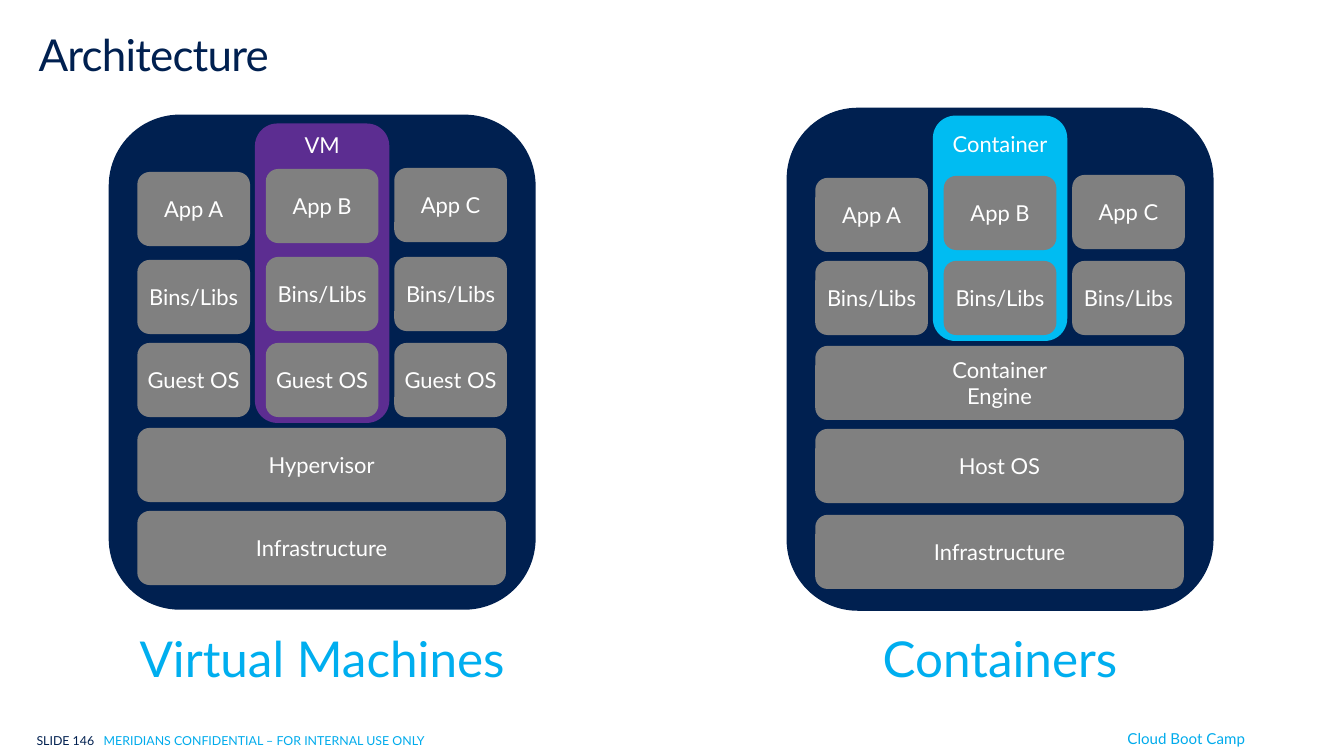
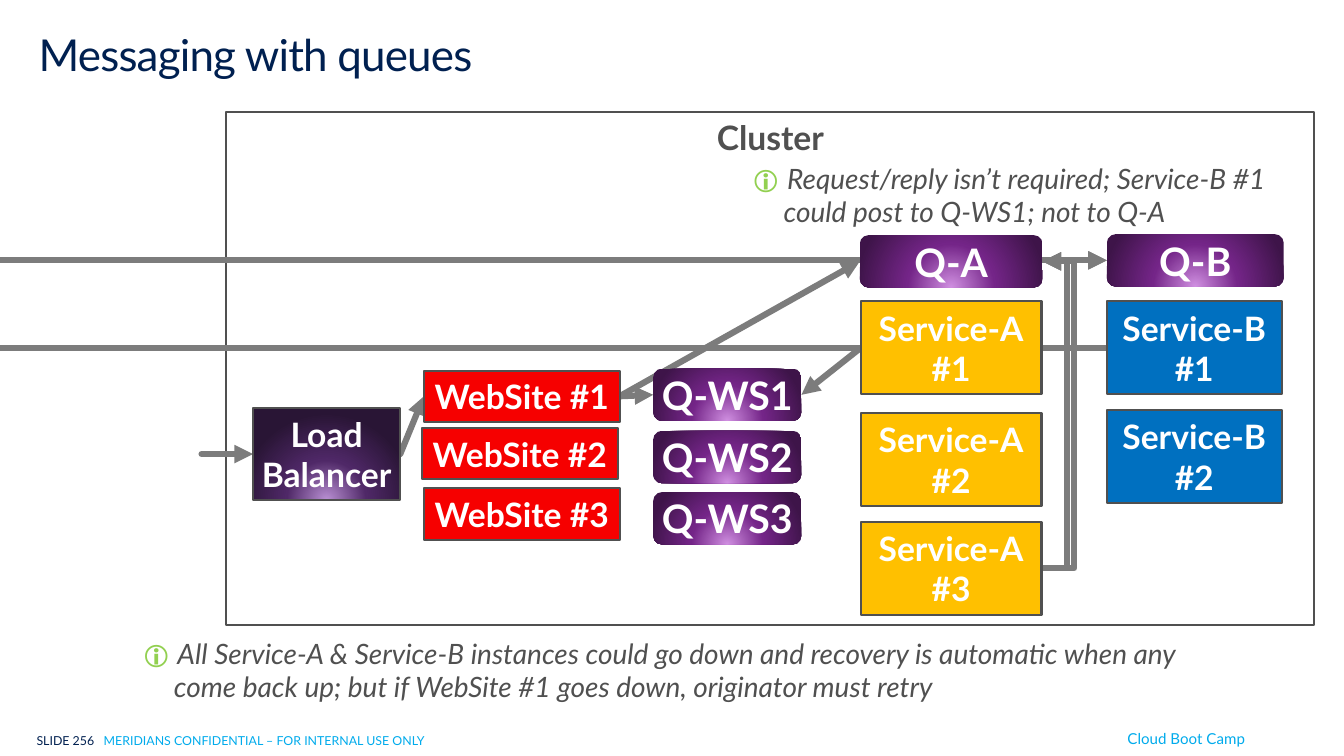
import dataclasses
import typing

import pptx
import pptx.dml.color
import pptx.enum.shapes
import pptx.enum.text
import pptx.oxml
import pptx.oxml.ns
import pptx.util

Inches = pptx.util.Inches
Pt = pptx.util.Pt
SHAPE = pptx.enum.shapes.MSO_SHAPE
CONNECTOR = pptx.enum.shapes.MSO_CONNECTOR
ANCHOR = pptx.enum.text.MSO_ANCHOR
ALIGN = pptx.enum.text.PP_ALIGN

FONT = "Lato"
COLORS = {
    "navy": "002050",
    "footer": "00ABEC",
    "caption": "00AEEF",
    "purple": "5C2D91",
    "cyan": "00BCF2",
    "tile": "808080",
    "white": "FFFFFF",
    "text": "505050",
    "arrow": "7C7C7C",
    "green": "92D050",
    "red": "F60000",
    "amber": "FFC000",
    "blue": "0070C0",
}
GRADIENTS = {
    "balancer": ("B990D3", "4F2867", "291535"),
    "queue": ("D08FE1", "742588", "3E1449"),
}
LEFT, RIGHT = 1, 3
COLUMN_STEP = 1.3
TILE_W, TILE_H, WIDE_W = 1.14, 0.75, 3.73
TILE_MARGIN = 0.29


@dataclasses.dataclass
class Stack:
    caption: str
    x: float
    y: float
    h: float
    band_text: str
    band_color: str
    band_y: float
    band_h: float
    band_inset: float
    rows: list[tuple[str, tuple[float, float, float]]]
    bases: list[tuple[str, float, float]]


@dataclasses.dataclass
class Box:
    text: str
    x: float
    y: float
    w: float
    h: float
    fill: str


@dataclasses.dataclass
class Link:
    begin: typing.Optional[str]
    end: str
    begin_site: int = RIGHT
    end_site: int = LEFT
    via_x: typing.Optional[float] = None
    start_x: float = 0
    arrow: bool = True


STACKS = [
    Stack("Virtual Machines", 1.1, 1.16, 5.01, "VM", "purple", 1.25, 3.03, 0.02,
          [("App {}", (1.74, 1.71, 1.7)),
           ("Bins/Libs", (2.63, 2.6, 2.6)),
           ("Guest OS", (3.47, 3.47, 3.47))],
          [("Hypervisor", 4.33, 0.02), ("Infrastructure", 5.17, 0.02)]),
    Stack("Containers", 7.96, 1.09, 5.09, "Container", "cyan", 1.17, 2.28, 0.08,
          [("App {}", (1.8, 1.78, 1.77)),
           ("Bins/Libs", (2.64, 2.64, 2.64))],
          [("Container Engine", 3.5, 1.25), ("Host OS", 4.34, 0.02),
           ("Infrastructure", 5.21, 0.02)]),
]

BOXES = [
    Box("Load Balancer", 2.56, 4.13, 1.49, 0.93, "balancer"),
    Box("WebSite #1", 4.29, 3.75, 1.98, 0.52, "red"),
    Box("WebSite #2", 4.27, 4.33, 1.98, 0.52, "red"),
    Box("WebSite #3", 4.29, 4.94, 1.98, 0.52, "red"),
    Box("Service-A\n#1", 8.71, 3.05, 1.83, 0.94, "amber"),
    Box("Service-A\n#2", 8.71, 4.18, 1.83, 0.94, "amber"),
    Box("Service-A\n#3", 8.71, 5.28, 1.83, 0.94, "amber"),
    Box("Service-B\n#1", 11.2, 3.05, 1.77, 0.94, "blue"),
    Box("Service-B\n#2", 11.2, 4.15, 1.77, 0.94, "blue"),
    Box("Q-A", 8.7, 2.38, 1.85, 0.53, "queue"),
    Box("Q-B", 11.2, 2.37, 1.79, 0.53, "queue"),
    Box("Q-WS1", 6.61, 3.73, 1.5, 0.53, "queue"),
    Box("Q-WS2", 6.61, 4.36, 1.5, 0.53, "queue"),
    Box("Q-WS3", 6.61, 4.98, 1.5, 0.53, "queue"),
]

LINKS = [
    Link(None, "Load Balancer", start_x=2.04),
    Link(None, "Q-B"),
    Link(None, "Service-B\n#1", arrow=False),
    Link("Load Balancer", "WebSite #1"),
    Link("WebSite #1", "Q-A"),
    Link("WebSite #1", "Q-WS1"),
    Link("Service-A\n#1", "Q-WS1", LEFT, RIGHT),
    Link("Service-A\n#1", "Q-A", RIGHT, RIGHT, 10.8),
    Link("Service-A\n#3", "Q-A", RIGHT, RIGHT, 10.8),
    Link("Service-A\n#3", "Q-B", RIGHT, LEFT, 10.87),
    Link("Service-B\n#1", "Q-A", LEFT, RIGHT, 10.87),
]

NOTES = [
    (7.41, 1.47, 5.86,
     "Request/reply isn’t required; Service-B #1 could post to Q-WS1; not to Q-A"),
    (1.24, 6.28, 11.01,
     "All Service-A & Service-B instances could go down and recovery is automatic "
     "when any come back up; but if WebSite #1 goes down, originator must retry"),
]


def rgb(name: str) -> pptx.dml.color.RGBColor:
    return pptx.dml.color.RGBColor.from_string(COLORS[name])


def add_run(p, text: str, size: float, color: str, bold=False, italic=False):
    r = p.add_run()
    r.text = text
    f = r.font
    f.name, f.size, f.bold, f.italic = FONT, Pt(size), bold, italic
    f.color.rgb = rgb(color)
    return r


def set_frame(tf, margins: tuple[float, float, float, float], anchor=ANCHOR.TOP) -> None:
    tf.word_wrap = True
    tf.auto_size = pptx.enum.text.MSO_AUTO_SIZE.NONE
    tf.vertical_anchor = anchor
    tf.margin_left, tf.margin_top, tf.margin_right, tf.margin_bottom = map(Inches, margins)


def add_text_box(s, x: float, y: float, w: float, h: float, margins):
    tf = s.shapes.add_textbox(Inches(x), Inches(y), Inches(w), Inches(h)).text_frame
    set_frame(tf, margins)
    return tf.paragraphs[0]


def set_radial_fill(sp, stops: tuple[str, str, str]) -> None:
    sp.fill.background()
    gs = "".join(f'<a:gs pos="{pos}"><a:srgbClr val="{color}"/></a:gs>'
                 for pos, color in zip((0, 46000, 100000), stops))
    grad = pptx.oxml.parse_xml(
        f'<a:gradFill {pptx.oxml.ns.nsdecls("a")} rotWithShape="1"><a:gsLst>{gs}</a:gsLst>'
        '<a:path path="circle"><a:fillToRect l="50000" t="130000" r="50000" b="-30000"/>'
        '</a:path></a:gradFill>')
    spPr = sp._element.spPr
    spPr.replace(spPr.find(pptx.oxml.ns.qn("a:noFill")), grad)


def add_shape(s, kind, x: float, y: float, w: float, h: float,
              fill: typing.Optional[str] = None, outline=False):
    sp = s.shapes.add_shape(kind, Inches(x), Inches(y), Inches(w), Inches(h))
    sp.shadow.inherit = False
    if fill is None:
        sp.fill.background()
    elif fill in GRADIENTS:
        set_radial_fill(sp, GRADIENTS[fill])
    else:
        sp.fill.solid()
        sp.fill.fore_color.rgb = rgb(fill)
    if outline:
        sp.line.color.rgb = rgb("text")
        sp.line.width = Pt(1.5)
    else:
        sp.line.fill.background()
    return sp


def add_label(sp, text: str, size: float, color="white", bold=False,
              side=0.05, top=0.05, anchor=ANCHOR.MIDDLE) -> None:
    tf = sp.text_frame
    set_frame(tf, (side, top, side, 0.05), anchor)
    p = tf.paragraphs[0]
    p.alignment = ALIGN.CENTER
    for i, line in enumerate(text.split("\n")):
        if i:
            p.add_line_break()
        add_run(p, line, size, color, bold)


def add_slide(prs, title: str, number: int):
    s = prs.slides.add_slide(prs.slide_layouts[5])
    sp = s.shapes.title
    sp.left, sp.top, sp.width, sp.height = map(Inches, (0.39, 0.29, 12.8, 0.61))
    set_frame(sp.text_frame, (0, 0.05, 0.1, 0.05))
    p = sp.text_frame.paragraphs[0]
    p.alignment, p.line_spacing = ALIGN.LEFT, 0.9
    r = add_run(p, title, 32, "navy")
    r.font._element.set("spc", "-60")
    p = add_text_box(s, 0.37, 7.28, 6.86, 0.33, (0, 0.16, 0.2, 0.16))
    p.line_spacing = 0.9
    add_run(p, f"SLIDE {number}   ", 9, "navy")
    add_run(p, "MERIDIANS CONFIDENTIAL – FOR INTERNAL USE ONLY", 9, "footer")
    p = add_text_box(s, 11.31, 7.28, 1.58, 0.37, (0.1, 0.1, 0.1, 0.1))
    add_run(p, "Cloud Boot Camp", 11, "footer")
    return s


def add_tile(s, text: str, x: float, y: float, w: float, side=0.02) -> None:
    sp = add_shape(s, SHAPE.ROUNDED_RECTANGLE, x, y, w, TILE_H, "tile")
    add_label(sp, text, 16, side=side)


def add_stack(s, stack: Stack) -> None:
    add_shape(s, SHAPE.ROUNDED_RECTANGLE, stack.x, stack.y, 4.32, stack.h, "navy")
    band = add_shape(s, SHAPE.ROUNDED_RECTANGLE, stack.x + 1.48, stack.band_y,
                     1.36, stack.band_h, stack.band_color)
    add_label(band, stack.band_text, 16, top=stack.band_inset, anchor=ANCHOR.TOP)
    left = stack.x + TILE_MARGIN
    for text, tops in stack.rows:
        for i, y in enumerate(tops):
            add_tile(s, text.format("ABC"[i]), left + i * COLUMN_STEP, y, TILE_W)
    for text, y, side in stack.bases:
        add_tile(s, text, left, y, WIDE_W, side)
    p = add_text_box(s, stack.x + 0.11, 6.42, 4.1, 0.55, (0, 0, 0, 0))
    p.alignment, p.line_spacing = ALIGN.CENTER, 0.9
    add_run(p, stack.caption, 36, "caption")


def add_box(s, box: Box):
    queue = box.fill == "queue"
    kind = SHAPE.FLOWCHART_ALTERNATE_PROCESS if queue else SHAPE.RECTANGLE
    sp = add_shape(s, kind, box.x, box.y, box.w, box.h, box.fill, not queue)
    add_label(sp, box.text, 28.6 if queue else 24.5, bold=True, side=0 if queue else 0.05)
    return sp


def add_link(s, link: Link, boxes: dict, frame) -> None:
    kind = CONNECTOR.STRAIGHT if link.via_x is None else CONNECTOR.ELBOW
    end = boxes[link.end]
    y = end.top + end.height // 2
    cxn = s.shapes.add_connector(kind, Inches(link.start_x), y, end.left, y)
    if link.begin:
        cxn.begin_connect(boxes[link.begin], link.begin_site)
    cxn.end_connect(end, link.end_site)
    cxn.line.color.rgb = rgb("arrow")
    cxn.line.width = Pt(4.5)
    spPr = cxn._element.spPr
    ln = cxn.line._get_or_add_ln()
    ln.set("cap", "rnd")
    if link.arrow:
        ln.append(pptx.oxml.parse_xml(
            f'<a:tailEnd {pptx.oxml.ns.nsdecls("a")} type="triangle"/>'))
    spPr.append(pptx.oxml.parse_xml(f'<a:effectLst {pptx.oxml.ns.nsdecls("a")}/>'))
    if link.via_x is not None:
        ratio = (Inches(link.via_x) - cxn.begin_x) / (cxn.end_x - cxn.begin_x)
        spPr.find(".//" + pptx.oxml.ns.qn("a:avLst")).append(pptx.oxml.parse_xml(
            f'<a:gd {pptx.oxml.ns.nsdecls("a")} name="adj1" '
            f'fmla="val {round(ratio * 100000)}"/>'))
    frame._element.addnext(cxn._element)


def add_note(s, x: float, y: float, w: float, text: str) -> None:
    p = add_text_box(s, x, y, w, 1.03, (0.2, 0.16, 0.2, 0.16))
    pPr = p._p.get_or_add_pPr()
    pPr.set("marL", str(Inches(0.32)))
    pPr.set("indent", str(-Inches(0.32)))
    add_run(p, "🛈 ", 20.4, "green")
    add_run(p, text, 20.4, "text", italic=True)


def main() -> None:
    prs = pptx.Presentation()
    prs.slide_width, prs.slide_height = Inches(13.6), Inches(7.65)

    s = add_slide(prs, "Architecture", 146)
    for stack in STACKS:
        add_stack(s, stack)

    s = add_slide(prs, "Messaging with queues", 256)
    frame = add_shape(s, SHAPE.RECTANGLE, 2.29, 1.13, 11.01, 5.19, outline=True)
    add_label(frame, "Cluster", 24.5, "text", bold=True, anchor=ANCHOR.TOP)
    for note in NOTES:
        add_note(s, *note)
    boxes = {box.text: add_box(s, box) for box in BOXES}
    for link in LINKS:
        add_link(s, link, boxes, frame)

    prs.save("out.pptx")


if __name__ == "__main__":
    main()
